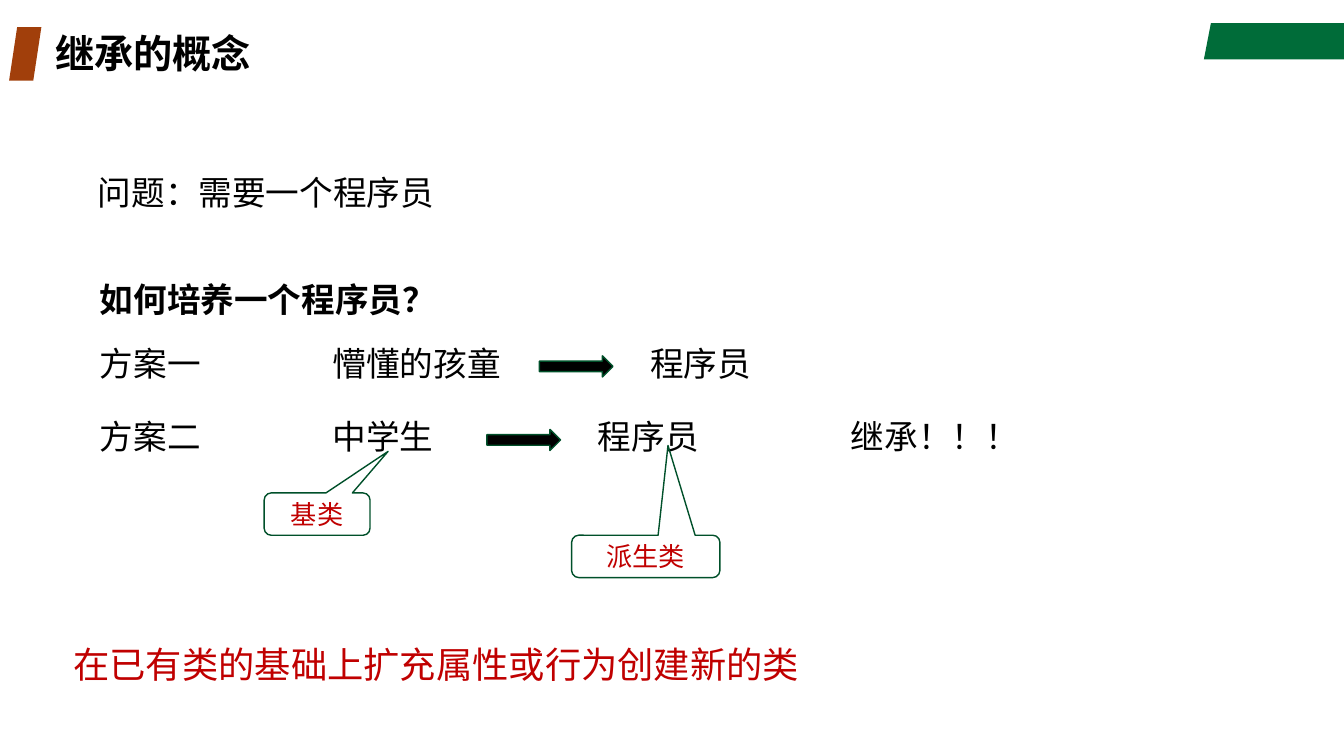
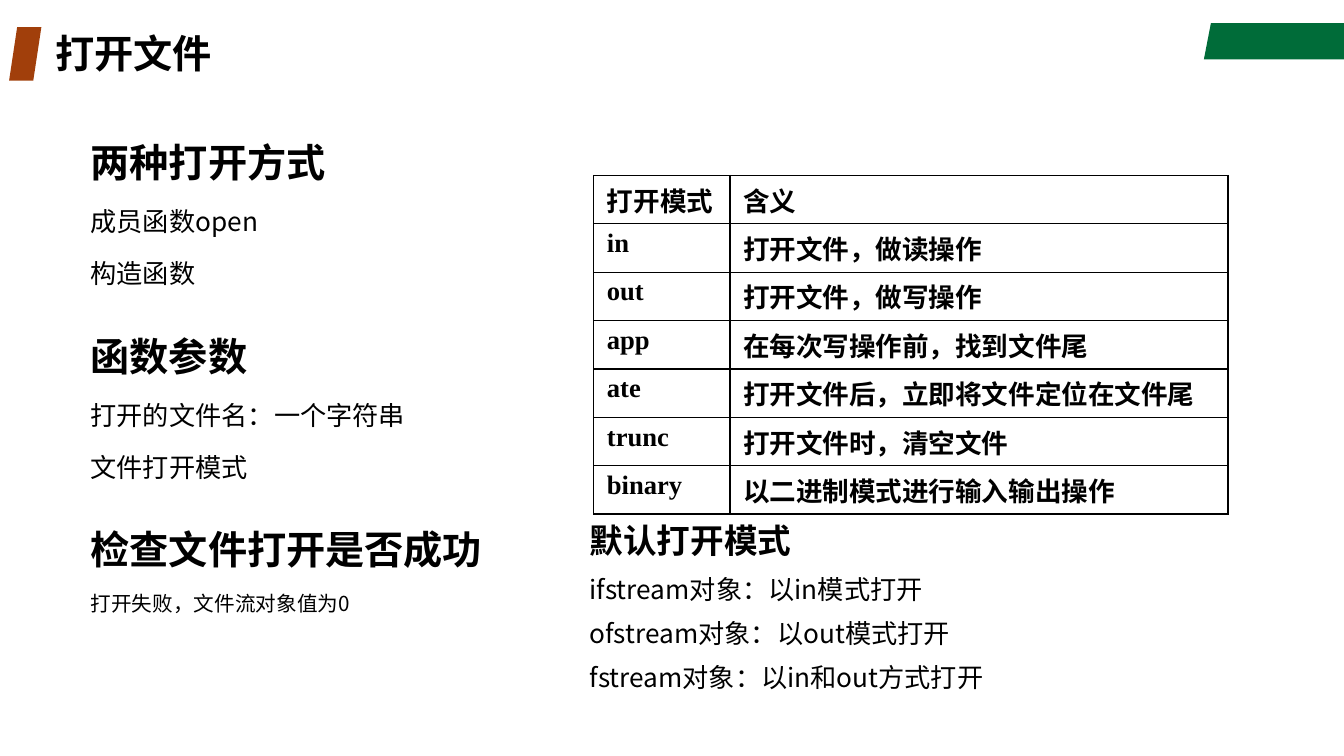
from dataclasses import dataclass

from lxml.etree import SubElement
from pptx import Presentation
from pptx.dml.color import RGBColor
from pptx.enum.shapes import MSO_SHAPE as Shape
from pptx.enum.text import MSO_ANCHOR as Anchor, PP_ALIGN as Align
from pptx.oxml.ns import qn
from pptx.util import Inches, Pt


@dataclass(frozen=True)
class Theme:
    font: str = "Noto Sans CJK SC"
    table_font: str = "Times New Roman"
    black: str = "000000"
    red: str = "C00000"
    green: str = "006C39"
    dark_green: str = "00502A"
    orange: str = "A13F0B"
    heading: float = 28
    statement: float = 25.9
    text: float = 24
    table: float = 19
    detail: float = 18.7
    small: float = 14.7


@dataclass(frozen=True)
class Line:
    text: str
    size: float
    bold: bool = False
    color: str = "000000"
    leading: float = 1.2
    before: float = 0


THEME = Theme()
BODY_LEADING = 1.44
LIST_LEADING = 1.68

MODES = [
    ("打开模式", "含义"),
    ("in", "打开文件，做读操作"),
    ("out", "打开文件，做写操作"),
    ("app", "在每次写操作前，找到文件尾"),
    ("ate", "打开文件后，立即将文件定位在文件尾"),
    ("trunc", "打开文件时，清空文件"),
    ("binary", "以二进制模式进行输入输出操作"),
]


def rgb(color):
    return RGBColor.from_string(color)


def style_runs(paragraph, size, color, bold=False, latin=THEME.font):
    for run in paragraph.runs:
        run.font.size = Pt(size)
        run.font.bold = bold
        run.font.color.rgb = rgb(color)
        run.font.name = latin
        SubElement(run.font._element, qn("a:ea"), typeface=THEME.font)


def paint(shape, fill=None, line=None):
    shape.shadow.inherit = False
    if fill:
        shape.fill.solid()
        shape.fill.fore_color.rgb = rgb(fill)
    else:
        shape.fill.background()
    if line:
        shape.line.color.rgb = rgb(line)
        shape.line.width = Pt(1)
    else:
        shape.line.fill.background()


def add_text(slide, box, lines, anchor=Anchor.TOP, inset=0.1):
    frame = slide.shapes.add_textbox(*map(Inches, box)).text_frame
    frame.word_wrap = True
    frame.vertical_anchor = anchor
    frame.margin_left = Inches(inset)
    frame.margin_top = Inches(0.08)
    frame.text = "\n".join(line.text for line in lines)
    for paragraph, line in zip(frame.paragraphs, lines):
        paragraph.line_spacing = Pt(line.size * line.leading)
        paragraph.space_before = Pt(line.before)
        style_runs(paragraph, line.size, line.color, line.bold)


def add_label(slide, left, top, width, text, bold=False):
    add_text(slide, (left, top, width, 0.64), [Line(text, THEME.text, bold)], inset=0.15)


def add_result(slide, left, top, text):
    arrow = slide.shapes.add_shape(
        Shape.RIGHT_ARROW, *map(Inches, (left, top + 0.21, 0.73, 0.21)))
    paint(arrow, THEME.black, THEME.dark_green)
    add_label(slide, left + 0.95, top, 1.47, text)


def add_callout(slide, box, pointer, text):
    callout = slide.shapes.add_shape(Shape.ROUNDED_RECTANGULAR_CALLOUT, *map(Inches, box))
    paint(callout, line=THEME.dark_green)
    callout.adjustments[0], callout.adjustments[1] = pointer
    frame = callout.text_frame
    frame.text = text
    frame.vertical_anchor = Anchor.MIDDLE
    frame.paragraphs[0].alignment = Align.CENTER
    style_runs(frame.paragraphs[0], THEME.detail, THEME.red)


def add_cell_borders(cell):
    properties = cell._tc.get_or_add_tcPr()
    for index, side in enumerate(("lnL", "lnR", "lnT", "lnB")):
        border = properties.makeelement(qn(f"a:{side}"), {"w": str(Pt(1))})
        fill = SubElement(border, qn("a:solidFill"))
        SubElement(fill, qn("a:srgbClr"), val=THEME.black)
        properties.insert(index, border)


def add_grid(slide, left, top, widths, row_height, rows):
    table = slide.shapes.add_table(
        len(rows), len(widths), Inches(left), Inches(top),
        Inches(sum(widths)), Inches(row_height * len(rows))).table
    table.first_row = False
    table.horz_banding = False
    for column, width in zip(table.columns, widths):
        column.width = Inches(width)
    for row, texts in zip(table.rows, rows):
        row.height = Inches(row_height)
        for cell, text in zip(row.cells, texts):
            cell.text = text
            cell.fill.background()
            cell.margin_left = cell.margin_right = Inches(0.13)
            cell.margin_top = cell.margin_bottom = Inches(0.05)
            style_runs(cell.text_frame.paragraphs[0], THEME.table, THEME.black,
                       True, THEME.table_font)
            add_cell_borders(cell)


def add_titled_slide(deck, title):
    slide = deck.slides.add_slide(deck.slide_layouts[6])
    outline = slide.shapes.build_freeform(Inches(12.01), Inches(0.23), 1.0)
    corners = [(13.33, 0.23), (13.33, 0.59), (11.94, 0.59)]
    outline.add_line_segments([(Inches(x), Inches(y)) for x, y in corners])
    paint(outline.convert_to_shape(), THEME.green)
    marker = slide.shapes.add_shape(
        Shape.PARALLELOGRAM, *map(Inches, (0.09, 0.27, 0.32, 0.53)))
    paint(marker, THEME.orange)
    add_text(slide, (0.45, 0.27, 9.45, 0.53),
             [Line(title, THEME.heading, True, leading=1.08)], Anchor.MIDDLE)
    return slide


def build_inheritance(deck):
    slide = add_titled_slide(deck, "继承的概念")
    add_text(slide, (0.63, 6.18, 11.33, 0.59),
             [Line("在已有类的基础上扩充属性或行为创建新的类",
                   THEME.statement, color=THEME.red, leading=1.5)])
    add_label(slide, 0.82, 1.63, 6.31, "问题：需要一个程序员")
    add_label(slide, 0.84, 2.69, 4.2, "如何培养一个程序员？", True)
    plans = [(3.32, "方案一", "懵懂的孩童", 5.35), (4.05, "方案二", "中学生", 4.83)]
    for top, plan, learner, arrow_left in plans:
        add_label(slide, 0.84, top, 1.78, plan)
        add_label(slide, 3.15, top, 2.1, learner)
        add_result(slide, arrow_left, top, "程序员")
    add_label(slide, 8.29, 4.05, 2.1, "继承！！！")
    add_callout(slide, (2.62, 4.89, 1.05, 0.42), (0.67, -1.48), "基类")
    add_callout(slide, (5.67, 5.31, 1.47, 0.42), (0.15, -2.62), "派生类")


def build_open_file(deck):
    slide = add_titled_slide(deck, "打开文件")
    sections = [
        ("两种打开方式", THEME.detail, ["成员函数open", "构造函数"]),
        ("函数参数", THEME.detail, ["打开的文件名：一个字符串", "文件打开模式"]),
        ("检查文件打开是否成功", THEME.small, ["打开失败，文件流对象值为0"]),
    ]
    outline = []
    for heading, size, details in sections:
        outline.append(Line(heading, THEME.heading, True, leading=BODY_LEADING,
                            before=24 if outline else 0))
        outline += [Line(detail, size, leading=BODY_LEADING, before=10) for detail in details]
    add_text(slide, (0.8, 1.2, 4.38, 5.76), outline)
    add_grid(slide, 5.89, 1.74, (1.35, 4.94), 0.48, MODES)
    defaults = ["ifstream对象：以in模式打开", "ofstream对象：以out模式打开",
                "fstream对象：以in和out方式打开"]
    add_text(slide, (5.75, 5, 6.67, 1.86),
             [Line("默认打开模式", THEME.text, True, leading=BODY_LEADING)]
             + [Line(text, THEME.detail, leading=LIST_LEADING) for text in defaults])


def main():
    deck = Presentation()
    deck.slide_width = Inches(13.33)
    deck.slide_height = Inches(7.5)
    build_inheritance(deck)
    build_open_file(deck)
    deck.save("out.pptx")


if __name__ == "__main__":
    main()
